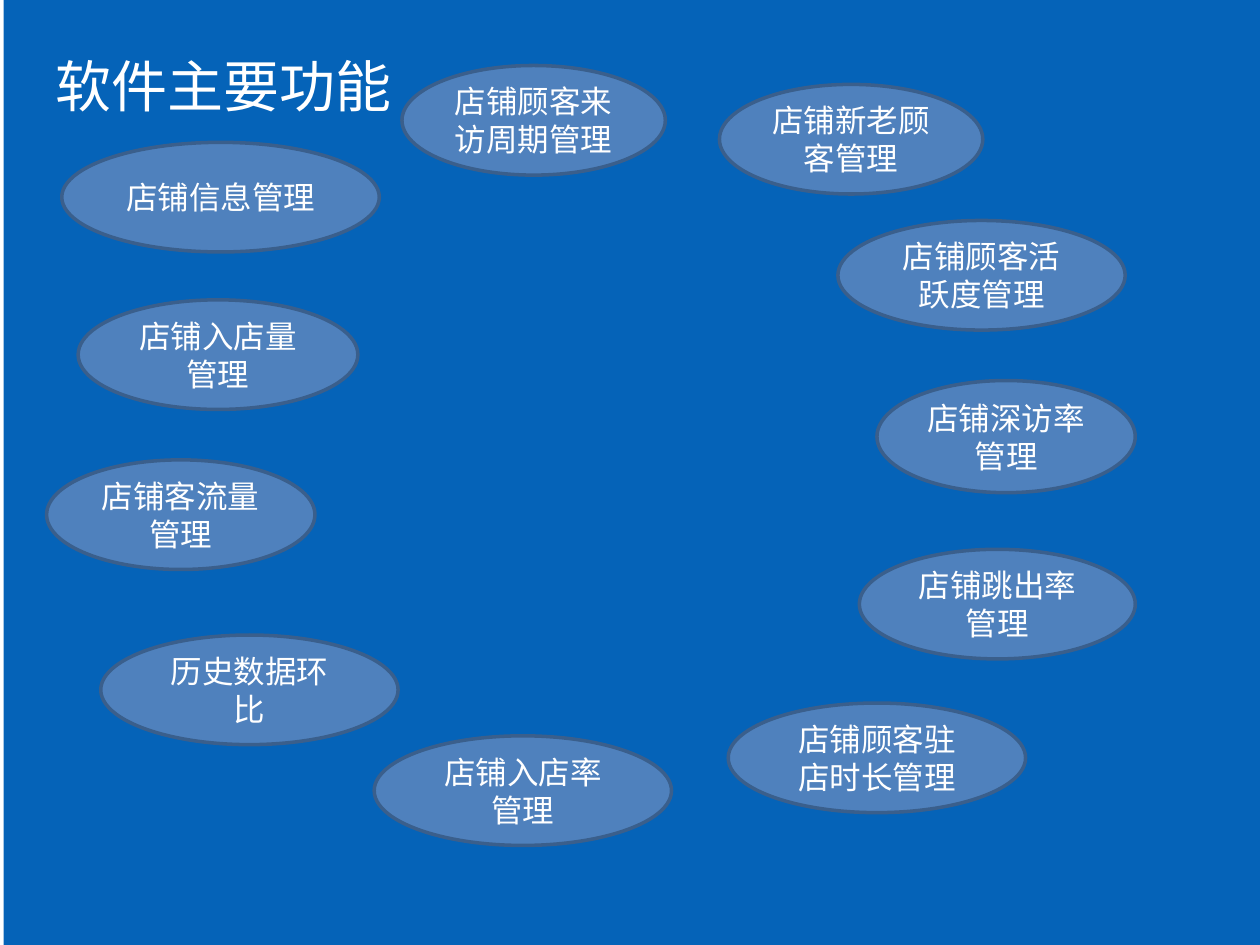
import pptx
import pptx.util
import pptx.dml.color
import pptx.enum.shapes
import pptx.enum.text

Inches = pptx.util.Inches
Pt = pptx.util.Pt
KINDS = pptx.enum.shapes.MSO_SHAPE

COLORS = {"back": "0563B8", "oval": "4F81BD", "edge": "3A5F8C", "text": "FFFFFF"}

# Label, left, top, width, height in inches
FEATURES = [
    ("店铺信息管理", 0.49, 1.13, 2.52, 0.87),
    ("店铺新老顾客管理", 5.71, 0.67, 2.09, 0.87),
    ("店铺入店量管理", 0.62, 2.38, 2.22, 0.87),
    ("店铺客流量管理", 0.37, 3.65, 2.13, 0.87),
    ("店铺顾客驻店时长管理", 5.78, 5.58, 2.36, 0.87),
    ("店铺跳出率管理", 6.82, 4.36, 2.19, 0.87),
    ("店铺深访率管理", 6.96, 3.02, 2.05, 0.89),
    ("店铺顾客活跃度管理", 6.65, 1.75, 2.28, 0.87),
    ("店铺顾客来访周期管理", 3.19, 0.52, 2.09, 0.87),
    ("历史数据环比", 0.8, 5.04, 2.36, 0.87),
    ("店铺入店率管理", 2.97, 5.84, 2.36, 0.87),
]


def color(name):
    return pptx.dml.color.RGBColor.from_string(COLORS[name])


def add_shape(slide, kind, box, fill):
    shape = slide.shapes.add_shape(kind, *map(Inches, box))
    shape.shadow.inherit = False
    shape.fill.solid()
    shape.fill.fore_color.rgb = color(fill)
    return shape


def set_text(frame, text, font, size):
    frame.word_wrap = True
    para = frame.paragraphs[0]
    para.text = text
    para.font.name = font
    para.font.size = Pt(size)
    para.font.color.rgb = color("text")
    return para


def add_back(slide):
    shape = add_shape(slide, KINDS.RECTANGLE, (0.03, 0, 10, 7.5), "back")
    shape.line.fill.background()


def add_title(slide, text):
    box = slide.shapes.add_textbox(*map(Inches, (0.34, 0.36, 5.25, 0.64)))
    set_text(box.text_frame, text, "Quicksand", 32)
    box.text_frame.auto_size = pptx.enum.text.MSO_AUTO_SIZE.SHAPE_TO_FIT_TEXT


def add_feature(slide, text, *box):
    oval = add_shape(slide, KINDS.OVAL, box, "oval")
    oval.line.color.rgb = color("edge")
    oval.line.width = Pt(2)
    oval.text_frame.vertical_anchor = pptx.enum.text.MSO_ANCHOR.MIDDLE
    para = set_text(oval.text_frame, text, "Calibri", 18)
    para.alignment = pptx.enum.text.PP_ALIGN.CENTER


def main():
    deck = pptx.Presentation()
    deck.slide_width, deck.slide_height = Inches(10), Inches(7.5)
    slide = deck.slides.add_slide(deck.slide_layouts[6])
    add_back(slide)
    add_title(slide, "软件主要功能")
    for feature in FEATURES:
        add_feature(slide, *feature)
    deck.save("out.pptx")


if __name__ == "__main__":
    main()
